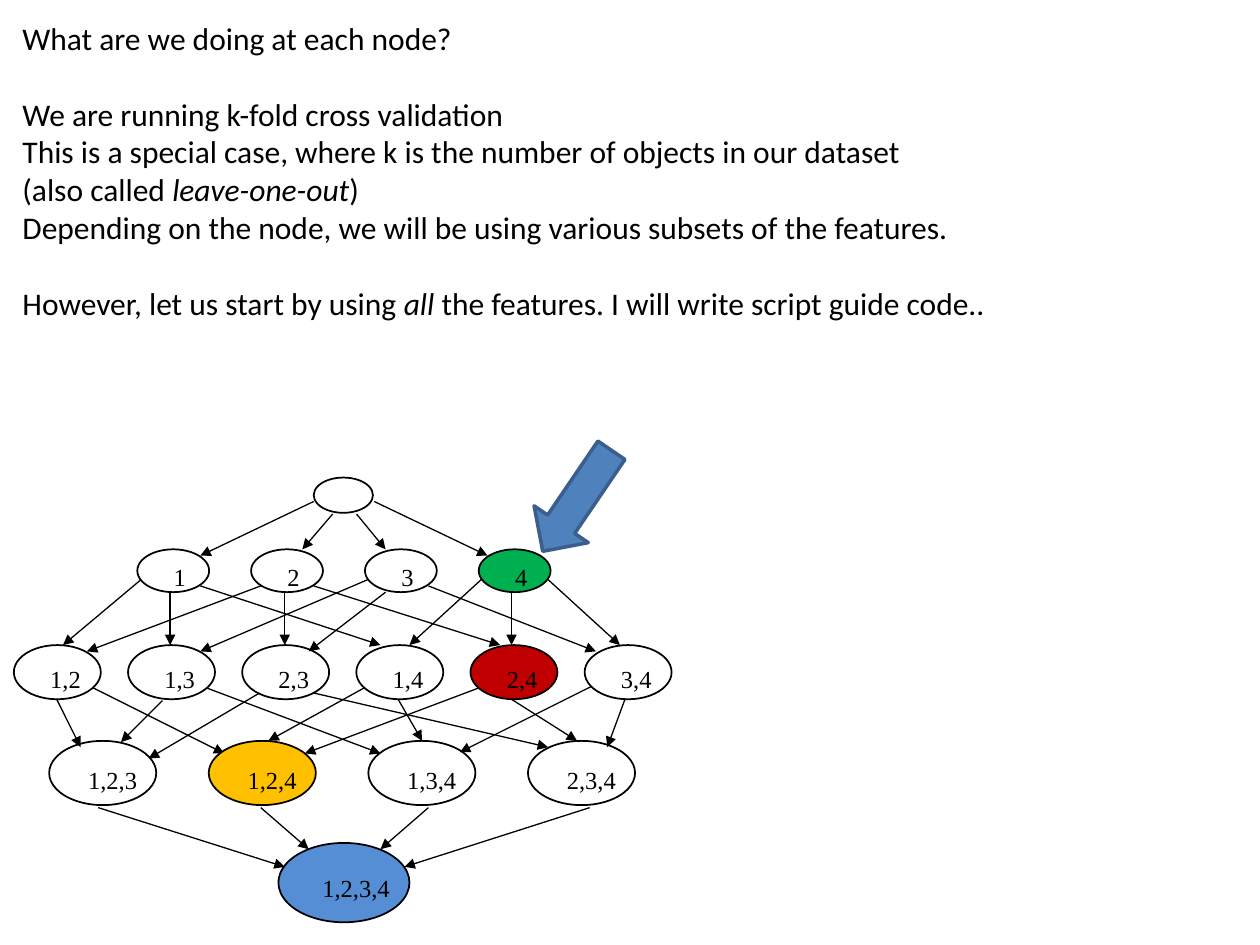
from pptx import Presentation
from pptx.util import Inches, Pt
from pptx.dml.color import RGBColor
from pptx.enum.shapes import MSO_CONNECTOR, MSO_SHAPE
from pptx.enum.text import MSO_AUTO_SIZE
from pptx.oxml.ns import qn
from lxml.etree import SubElement

COLORS = {
    "ink": "000000", "green": "00B050", "red": "C00000", "gold": "FFC000",
    "blue": "558ED5", "arrow": "4F81BD", "edge": "3A5F8C",
}


def color(name):
    return RGBColor.from_string(COLORS[name])


def add_text(x, y, w, h, lines, font, size, wrap):
    """Add a text box; lines are (gap before, runs), odd runs being italic."""
    box = slide.shapes.add_textbox(Inches(x), Inches(y), Inches(w), Inches(h))
    frame = box.text_frame
    frame.word_wrap = wrap
    frame.auto_size = MSO_AUTO_SIZE.NONE
    for i, (gap, runs) in enumerate(lines):
        para = frame.paragraphs[0] if i == 0 else frame.add_paragraph()
        para.space_before = Pt(gap)
        para.font.name = font
        para.font.size = Pt(size)
        para.font.color.rgb = color("ink")
        for j, words in enumerate(runs):
            run = para.add_run()
            run.text = words
            if j % 2:
                run.font.italic = True


prs = Presentation()
prs.slide_width = Inches(10)
prs.slide_height = Inches(7.5)
slide = prs.slides.add_slide(prs.slide_layouts[6])

# Links between the levels of the feature lattice: x1, y1, x2, y2
links = [
    # no feature to one
    (2.49, 3.98, 1.59, 4.41), (2.64, 4.08, 2.4, 4.36),
    (2.83, 4.08, 3.06, 4.36), (2.97, 3.98, 3.87, 4.41),
    # one to two
    (1.12, 4.6, 0.5, 5.12), (1.35, 4.7, 1.35, 5.12), (1.59, 4.65, 3.02, 5.12),
    (2.07, 4.65, 0.69, 5.17), (2.26, 4.7, 2.26, 5.12), (2.49, 4.65, 3.97, 5.12),
    (2.92, 4.6, 1.59, 5.17), (3.06, 4.7, 2.45, 5.17), (3.4, 4.65, 4.73, 5.17),
    (3.82, 4.6, 3.25, 5.12), (4.06, 4.7, 4.06, 5.12), (4.35, 4.6, 4.92, 5.12),
    # two to three
    (0.45, 5.55, 0.64, 5.93), (0.74, 5.46, 1.78, 5.98),
    (1.29, 5.56, 0.96, 5.89), (1.64, 5.46, 3.02, 5.98),
    (2.06, 5.5, 1.18, 6.02), (2.49, 5.5, 4.35, 5.93),
    (2.89, 5.46, 2.13, 5.88), (3.16, 5.55, 3.35, 5.88),
    (3.8, 5.46, 2.42, 5.98), (4.06, 5.55, 4.58, 5.88),
    (4.69, 5.45, 3.65, 5.97), (4.96, 5.55, 4.82, 5.93),
    # three to four
    (0.78, 6.41, 2.26, 6.88), (2.07, 6.41, 2.45, 6.74),
    (3.4, 6.41, 3.02, 6.74), (4.68, 6.41, 3.21, 6.88),
]
for ends in links:
    link = slide.shapes.add_connector(MSO_CONNECTOR.STRAIGHT, *map(Inches, ends))
    link.line.color.rgb = color("ink")
    link.line.width = Pt(0.75)
    SubElement(link.line._get_or_add_ln(), qn("a:tailEnd"), type="triangle")
    SubElement(link._element.spPr, qn("a:effectLst"))

# Levels: first left, last left, top, width, height, label (dx, dy, width), names
levels = [
    (2.49, 2.49, 3.79, 0.47, 0.28, (0, 0, 0), [""]),
    (1.09, 3.8, 4.36, 0.57, 0.34, (0.19, 0.05, 0.3), ["1", "2", "3", "4"]),
    (0.11, 4.64, 5.12, 0.69, 0.43, (0.19, 0.1, 0.45),
     ["1,2", "1,3", "2,3", "1,4", "2,4", "3,4"]),
    (0.39, 4.19, 5.88, 0.85, 0.51, (0.21, 0.14, 0.59),
     ["1,2,3", "1,2,4", "1,3,4", "2,3,4"]),
    (2.21, 2.21, 6.69, 1.04, 0.63, (0.25, 0.19, 0.74), ["1,2,3,4"]),
]
fills = {"4": "green", "2,4": "red", "1,2,4": "gold", "1,2,3,4": "blue"}
for first, last, top, wide, high, (dx, dy, room), names in levels:
    step = (last - first) / max(len(names) - 1, 1)
    for i, name in enumerate(names):
        left = first + i * step
        node = slide.shapes.add_shape(
            MSO_SHAPE.OVAL, Inches(left), Inches(top), Inches(wide), Inches(high))
        node.shadow.inherit = False
        node.line.color.rgb = color("ink")
        node.line.width = Pt(1)
        if name in fills:
            node.fill.solid()
            node.fill.fore_color.rgb = color(fills[name])
        else:
            node.fill.background()
        if name:
            add_text(left + dx, top + dy, room, 0.34, [(0, [name])],
                     "Times New Roman", 14, False)

# Arrow to the green node
arrow = slide.shapes.add_shape(
    MSO_SHAPE.DOWN_ARROW, Inches(4.32), Inches(3.49), Inches(0.52), Inches(0.97))
arrow.rotation = 34.2
arrow.shadow.inherit = False
arrow.fill.solid()
arrow.fill.fore_color.rgb = color("arrow")
arrow.line.color.rgb = color("edge")
arrow.line.width = Pt(2)

gap = 21.7
add_text(0.08, 0.1, 9.84, 2.83, [
    (0, ["What are we doing at each node?"]),
    (gap, ["We are running k-fold cross validation"]),
    (0, ["This is a special case, where k is the number of objects in our dataset"]),
    (0, ["(also called ", "leave-one-out", ")"]),
    (0, ["Depending on the node, we will be using various subsets of the features."]),
    (gap, ["However, let us start by using ", "all",
           " the features. I will write script guide code.."]),
], "Calibri", 18, True)

prs.save("out.pptx")
